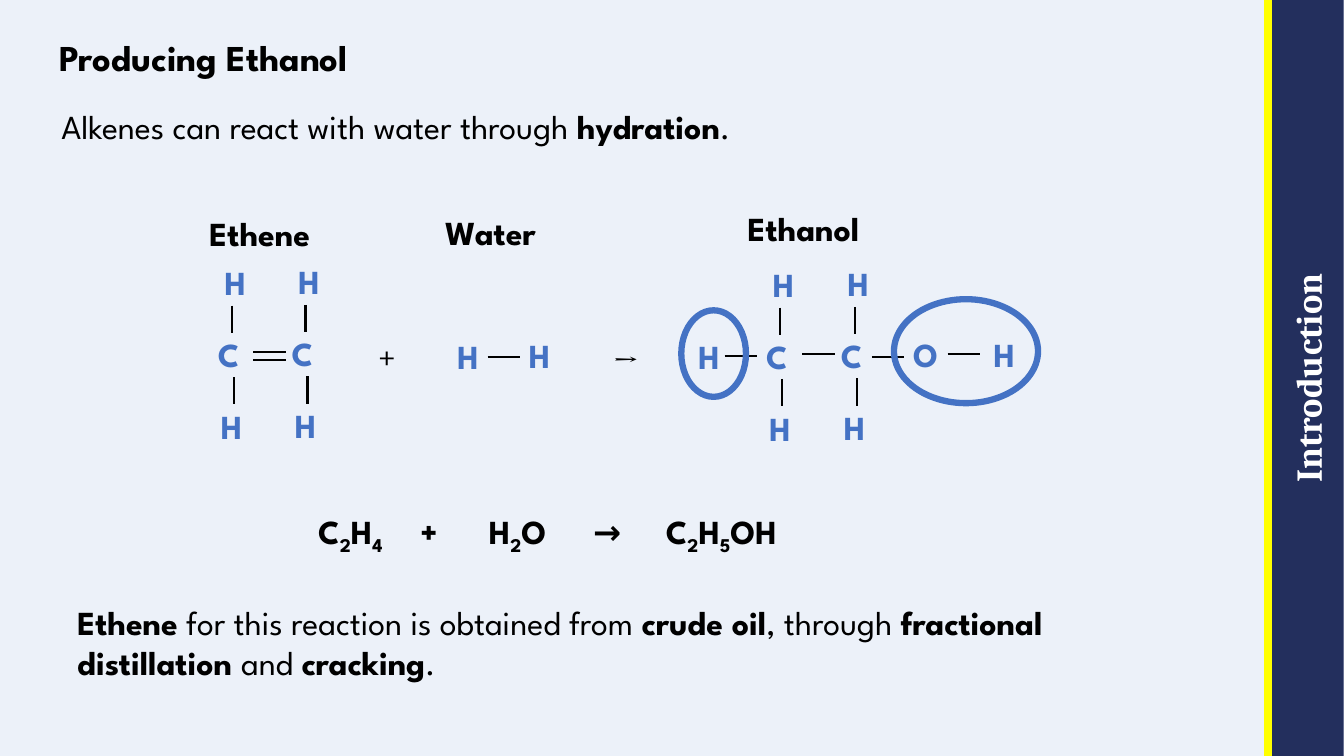
from lxml.etree import SubElement
from pptx import Presentation
from pptx.dml.color import RGBColor
from pptx.enum.shapes import MSO_CONNECTOR, MSO_SHAPE
from pptx.enum.text import MSO_ANCHOR, MSO_AUTO_SIZE, PP_ALIGN
from pptx.oxml.ns import qn
from pptx.util import Cm, Pt

SPARTAN, CAMBRIA = "League Spartan", "Cambria"
BLACK, BLUE, NAVY, YELLOW, WHITE = "000000", "4472C4", "232F5D", "FFFF00", "FFFFFF"
PALE_BLUE = "ECF1F9"
BOX_H, BOND = 1.27, 0.82
NARROW, WIDE = 1.09, 1.22


def rgb(color):
    return RGBColor.from_string(color)


def style(p, size=24, color=BLACK, bold=False, name=SPARTAN):
    p.font.size, p.font.bold, p.font.name = Pt(size), bold, name
    p.font.color.rgb = rgb(color)


def zero_margins(tf):
    tf.margin_left = tf.margin_right = tf.margin_top = tf.margin_bottom = 0


def add_text(s, x, y, w, text, h=BOX_H, wrap=True, **font):
    """Add a text box in which *stars* enclose bold words."""
    tf = s.shapes.add_textbox(Cm(x), Cm(y), Cm(w), Cm(h)).text_frame
    tf.word_wrap = wrap
    tf.auto_size = MSO_AUTO_SIZE.SHAPE_TO_FIT_TEXT
    p = tf.paragraphs[0]
    style(p, **font)
    for i, part in enumerate(text.split("*")):
        if part:
            r = p.add_run()
            r.text = part
            if i % 2:
                r.font.bold = True
    return p


def add_symbol(s, x, y, w, text, color=BLUE, bold=True, name=SPARTAN):
    add_text(s, x, y, w, text, wrap=False, color=color, bold=bold, name=name)


def add_line(s, x1, y1, x2, y2, color=BLACK, width=1.5):
    line = s.shapes.add_connector(MSO_CONNECTOR.STRAIGHT, Cm(x1), Cm(y1), Cm(x2), Cm(y2))
    line.line.color.rgb = rgb(color)
    line.line.width = Pt(width)
    SubElement(line._element.spPr, qn("a:effectLst"))


def add_carbon(s, x, y):
    """Add a carbon atom with one hydrogen bonded above and one below."""
    add_line(s, x, y - 0.58, x, y + 0.11)
    add_line(s, x + 0.05, y + 1.22, x + 0.05, y + 1.91)
    add_symbol(s, x - 0.6, y, WIDE, "C")
    add_symbol(s, x - 0.43, y - 1.8, NARROW, "H")
    add_symbol(s, x - 0.52, y + 1.83, NARROW, "H")


def add_ring(s, x, y, w, h):
    ring = s.shapes.add_shape(MSO_SHAPE.OVAL, Cm(x), Cm(y), Cm(w), Cm(h))
    ring.shadow.inherit = False
    ring.fill.background()
    ring.line.color.rgb = rgb(BLUE)
    ring.line.width = Pt(4.5)


def add_equation(s, x, y, w, terms, stops):
    """Add terms at tab stops, with digits as subscripts."""
    p = add_text(s, x, y, w, "")
    tabs = SubElement(p._p.get_or_add_pPr(), qn("a:tabLst"))
    for stop in stops:
        SubElement(tabs, qn("a:tab"), pos=str(Cm(stop)), algn="l")
    p._p.pPr.insert(0, tabs)
    style(p, bold=True)
    for char in "\t".join(terms):
        r = p.add_run()
        r.text = char
        if char.isdigit():
            r._r.get_or_add_rPr().set("baseline", "-25000")


def add_sidebar(s, text):
    bar = s.shapes.add_shape(MSO_SHAPE.RECTANGLE, Cm(23.42), Cm(8.61), Cm(19.05), Cm(1.83))
    bar.rotation = 270
    bar.shadow.inherit = False
    bar.fill.solid()
    bar.fill.fore_color.rgb = rgb(NAVY)
    bar.line.fill.background()
    tf = bar.text_frame
    zero_margins(tf)
    tf.vertical_anchor = MSO_ANCHOR.MIDDLE
    p = tf.paragraphs[0]
    p.text = text
    p.alignment = PP_ALIGN.CENTER
    style(p, 26, WHITE, True, CAMBRIA)
    add_line(s, 31.95, 0, 31.95, 19.05, YELLOW, 6)


def set_title(s, text):
    title = s.shapes.title
    title.left, title.top, title.width, title.height = Cm(1.5), Cm(0), Cm(29.49), Cm(2.01)
    tf = title.text_frame
    zero_margins(tf)
    tf.vertical_anchor = MSO_ANCHOR.BOTTOM
    p = tf.paragraphs[0]
    p.text = text
    p.alignment = PP_ALIGN.LEFT
    p.line_spacing = 0.9
    style(p, 26, bold=True)


def main():
    prs = Presentation()
    prs.slide_width, prs.slide_height = Cm(33.87), Cm(19.05)
    s = prs.slides.add_slide(prs.slide_layouts[5])
    s.background.fill.solid()
    s.background.fill.fore_color.rgb = rgb(PALE_BLUE)

    add_sidebar(s, "Introduction")
    set_title(s, "Producing Ethanol")
    add_text(s, 1.3, 2.54, 30.23, "Alkenes can react with water through *hydration*.")

    for x, y, w, name in [(5.03, 5.23, 4.32, "Ethene"), (10.97, 5.21, 4.75, "Water"),
                          (18.59, 5.11, 9.63, "Ethanol")]:
        add_text(s, x, y, w, name, bold=True)

    for x, y in [(5.84, 8.28), (7.7, 8.26), (19.66, 8.33), (21.54, 8.31)]:
        add_carbon(s, x, y)
    for x, y in [(11.28, 8.33), (13.08, 8.31), (17.35, 8.33), (24.79, 8.28)]:
        add_symbol(s, x, y, NARROW, "H")
    add_symbol(s, 22.76, 8.28, WIDE, "O")
    for x, y, w, sign in [(9.27, 8.31, 1.07, "+"), (15.19, 8.41, 1.35, "→")]:
        add_symbol(s, x, y, w, sign, BLACK, False, CAMBRIA)

    for x, y in [(6.38, 8.86), (6.38, 9.07), (12.29, 8.99), (18.26, 8.97),
                 (20.22, 8.92), (21.97, 8.99), (23.88, 8.92)]:
        add_line(s, x, y, x + BOND, y)
    add_ring(s, 17.17, 7.82, 1.63, 2.18)
    add_ring(s, 22.53, 7.54, 3.63, 2.62)

    add_equation(s, 7.77, 12.75, 14.38, ["C2H4", "+", "H2O", "→", "C2H5OH"],
                 [2.57, 4.3, 6.93, 8.76])
    add_text(s, 1.7, 15.04, 27.61,
             "*Ethene* for this reaction is obtained from *crude oil*, through "
             "*fractional distillation *and *cracking*.", h=2.31)
    prs.save("out.pptx")


if __name__ == "__main__":
    main()
